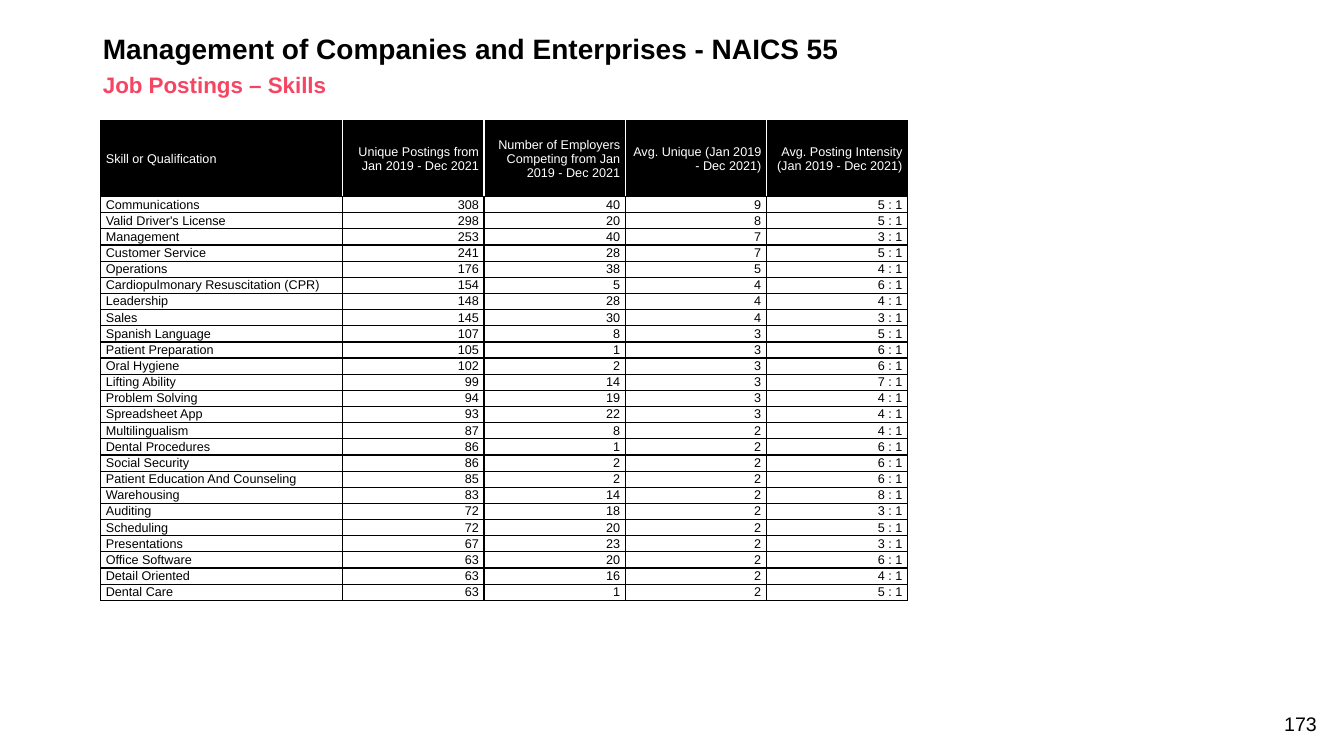
from lxml import etree
from pptx import Presentation
from pptx.dml.color import RGBColor
from pptx.enum.text import MSO_ANCHOR, MSO_AUTO_SIZE, PP_ALIGN
from pptx.oxml.ns import qn
from pptx.util import Pt

LEFT, RIGHT = PP_ALIGN.LEFT, PP_ALIGN.RIGHT
MIDDLE, BOTTOM = MSO_ANCHOR.MIDDLE, MSO_ANCHOR.BOTTOM
NO_FIT = MSO_AUTO_SIZE.NONE
PX = 9144  # 100 px to the inch
COLORS = {"black": "000000", "white": "FFFFFF", "pink": "F54562"}
MARGINS = ("margin_left", "margin_top", "margin_right", "margin_bottom")

HEADERS = [
    "Skill or Qualification",
    "Unique Postings from Jan 2019 - Dec 2021",
    "Number of Employers Competing from Jan 2019 - Dec 2021",
    "Avg. Unique (Jan 2019 - Dec 2021)",
    "Avg. Posting Intensity (Jan 2019 - Dec 2021)",
]
SKILLS = [
    ("Communications", 308, 40, 9, "5 : 1"),
    ("Valid Driver's License", 298, 20, 8, "5 : 1"),
    ("Management", 253, 40, 7, "3 : 1"),
    ("Customer Service", 241, 28, 7, "5 : 1"),
    ("Operations", 176, 38, 5, "4 : 1"),
    ("Cardiopulmonary Resuscitation (CPR)", 154, 5, 4, "6 : 1"),
    ("Leadership", 148, 28, 4, "4 : 1"),
    ("Sales", 145, 30, 4, "3 : 1"),
    ("Spanish Language", 107, 8, 3, "5 : 1"),
    ("Patient Preparation", 105, 1, 3, "6 : 1"),
    ("Oral Hygiene", 102, 2, 3, "6 : 1"),
    ("Lifting Ability", 99, 14, 3, "7 : 1"),
    ("Problem Solving", 94, 19, 3, "4 : 1"),
    ("Spreadsheet App", 93, 22, 3, "4 : 1"),
    ("Multilingualism", 87, 8, 2, "4 : 1"),
    ("Dental Procedures", 86, 1, 2, "6 : 1"),
    ("Social Security", 86, 2, 2, "6 : 1"),
    ("Patient Education And Counseling", 85, 2, 2, "6 : 1"),
    ("Warehousing", 83, 14, 2, "8 : 1"),
    ("Auditing", 72, 18, 2, "3 : 1"),
    ("Scheduling", 72, 20, 2, "5 : 1"),
    ("Presentations", 67, 23, 2, "3 : 1"),
    ("Office Software", 63, 20, 2, "6 : 1"),
    ("Detail Oriented", 63, 16, 2, "4 : 1"),
    ("Dental Care", 63, 1, 2, "5 : 1"),
]


def write(tf, text, size, color, align, bold=False):
    p = tf.paragraphs[0]
    p.alignment = align
    r = p.add_run()
    r.text = text
    for name, value in {"name": "Arial", "size": Pt(size), "bold": bold}.items():
        setattr(r.font, name, value)
    r.font.color.rgb = RGBColor.from_string(COLORS[color])
    return p


def set_borders(cell, colors):
    tc_pr = cell._tc.get_or_add_tcPr()
    for side, color in zip("LRTB", colors):
        ln = etree.SubElement(tc_pr, qn(f"a:ln{side}"), w=str(Pt(1)))
        fill = etree.SubElement(ln, qn("a:solidFill"))
        etree.SubElement(fill, qn("a:srgbClr"), val=COLORS[color])


prs = Presentation()
prs.slide_width, prs.slide_height = 1333 * PX, 750 * PX
s = prs.slides.add_slide(prs.slide_layouts[1])

# Title, subtitle and page number
title, subtitle = s.placeholders
number = s.shapes.add_textbox(0, 0, PX, PX)
for sp, box, anchor, words in [
    (title, (92, 30, 1150, 40), MIDDLE,
     ("Management of Companies and Enterprises - NAICS 55", 20, "black", LEFT, True)),
    (subtitle, (92, 71, 1150, 30), MIDDLE,
     ("Job Postings – Skills", 16, "pink", LEFT, True)),
    (number, (1236, 701, 80, 34), BOTTOM, ("173", 14, "black", RIGHT)),
]:
    sp.left, sp.top, sp.width, sp.height = [v * PX for v in box]
    tf = sp.text_frame
    tf.word_wrap, tf.auto_size, tf.vertical_anchor = True, NO_FIT, anchor
    for name, value in zip(MARGINS, (10, 5, 10, 5)):
        setattr(tf, name, value * PX)
    p = write(tf, *words)
    if sp is not number:
        p.line_spacing, p.space_before = 0.9, Pt(0)
    if sp is subtitle:
        p_pr = p._p.get_or_add_pPr()
        p_pr.set("marL", "0")
        p_pr.set("indent", "0")
        etree.SubElement(p_pr, qn("a:buNone"))

# Skills table
widths = [240] + [140] * 4
heights = [75] + [16] * len(SKILLS)
frame = s.shapes.add_table(len(heights), len(widths), 100 * PX, 120 * PX,
                           sum(widths) * PX, sum(heights) * PX)
table = frame.table
table.first_row = table.horz_banding = False
for col, width in zip(table.columns, widths):
    col.width = width * PX
for row, height in zip(table.rows, heights):
    row.height = height * PX

for i, values in enumerate([HEADERS] + SKILLS):
    for j, value in enumerate(values):
        cell = table.cell(i, j)
        cell.vertical_anchor = MIDDLE
        for name, margin in zip(MARGINS, (5, 1, 5, 1)):
            setattr(cell, name, margin * PX)
        write(cell.text_frame, str(value), 9, "black" if i else "white",
              RIGHT if j else LEFT)
        # Header columns are parted by white lines; all other lines are black
        left = "white" if i == 0 and j > 0 else "black"
        right = "white" if i == 0 and j < len(widths) - 1 else "black"
        set_borders(cell, (left, right, "black", "black"))
        if i:
            cell.fill.background()
        else:
            cell.fill.solid()
            cell.fill.fore_color.rgb = RGBColor.from_string(COLORS["black"])

prs.save("out.pptx")
